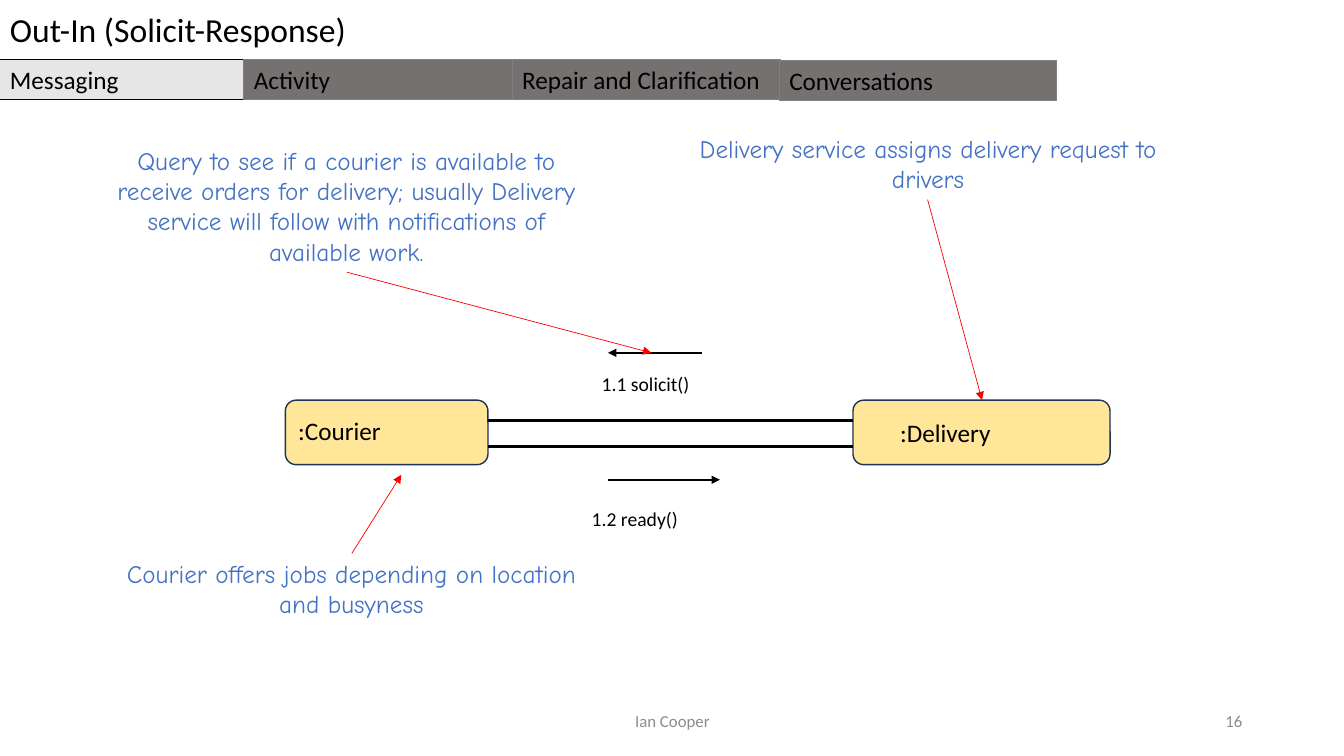
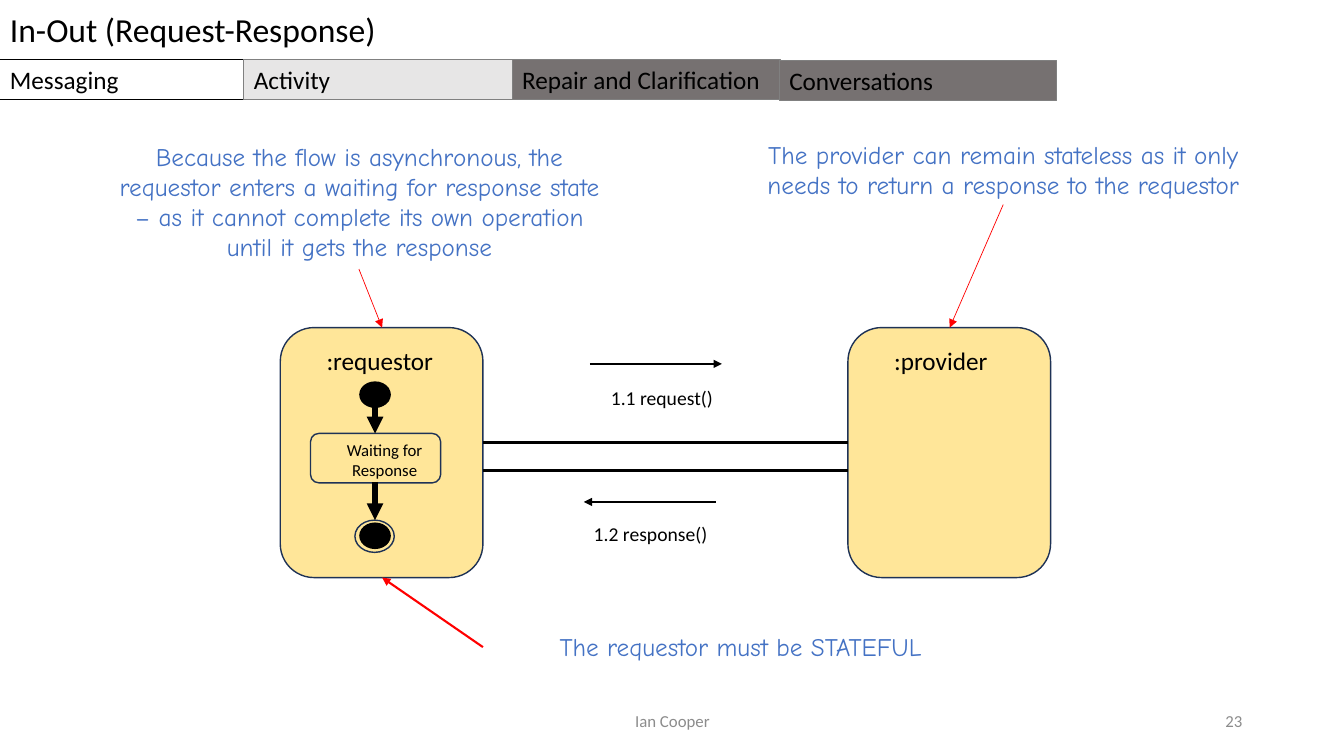
from dataclasses import dataclass

from lxml import etree
from pptx import Presentation
from pptx.dml.color import RGBColor
from pptx.enum.shapes import MSO_CONNECTOR, MSO_SHAPE
from pptx.enum.text import MSO_ANCHOR, PP_ALIGN
from pptx.oxml.ns import qn
from pptx.util import Pt

RECT = MSO_SHAPE.RECTANGLE
ROUND = MSO_SHAPE.ROUNDED_RECTANGLE
OVAL = MSO_SHAPE.OVAL
STRAIGHT = MSO_CONNECTOR.STRAIGHT
LEFT, CENTER, RIGHT = PP_ALIGN.LEFT, PP_ALIGN.CENTER, PP_ALIGN.RIGHT
TOP, MIDDLE = MSO_ANCHOR.TOP, MSO_ANCHOR.MIDDLE

SCALE = 9144
WIDTH, HEIGHT = 1333, 750
TABS = (
    ("Messaging", 0, 59, 243),
    ("Activity", 242, 59, 266),
    ("Repair and Clarification", 508, 59, 266),
    ("Conversations", 773, 60, 275),
)


@dataclass(frozen=True)
class Theme:
    body: str = "Calibri"
    hand: str = "Comic Neue"
    black: str = "000000"
    white: str = "FFFFFF"
    light: str = "E7E6E6"
    dark: str = "767171"
    edge: str = "808080"
    navy: str = "1E3256"
    sand: str = "FFE699"
    blue: str = "4472C4"
    red: str = "FF0000"
    gray: str = "8C8C8C"
    title: int = 24
    text: int = 18
    label: int = 14
    small: int = 12
    hair: float = 0.5
    thin: float = 0.75
    frame: float = 1
    call: float = 1.5
    link: float = 2.5
    flow: float = 4


def emu(*sizes):
    return [size * SCALE for size in sizes]


class Deck:
    def __init__(self, theme):
        self.theme = theme
        self.show = Presentation()
        self.show.slide_width, self.show.slide_height = emu(WIDTH, HEIGHT)
        self.slide = None

    def page(self, title, number, active):
        theme = self.theme
        self.slide = self.show.slides.add_slide(self.show.slide_layouts[6])
        head = self.shape(RECT, (0, -1, WIDTH, 61), theme.white)
        self.label(head, title, theme.title, pad=10)
        for index, (name, left, top, wide) in enumerate(TABS):
            fill = theme.dark
            if index <= active:
                fill = theme.light if index == active else theme.white
            edge = theme.edge if index else theme.black
            tab = self.shape(RECT, (left, top, wide, 40), fill, edge, theme.thin)
            self.label(tab, name, theme.text)
        for box, text, align in (
            ((442, 695, 450, 40), "Ian Cooper", CENTER),
            ((942, 695, 300, 40), number, RIGHT),
        ):
            self.text(box, text, theme.small, theme.gray, align=align, anchor=MIDDLE)

    def label(self, shape, text, size, color=None, font=None,
              align=LEFT, anchor=TOP, pad=5):
        frame = shape.text_frame
        frame.word_wrap = True
        frame.vertical_anchor = anchor
        frame.margin_left, frame.margin_right = emu(10, 10)
        frame.margin_top, frame.margin_bottom = emu(pad, pad)
        para = frame.paragraphs[0]
        para.alignment = align
        run = para.add_run()
        run.text = text
        run.font.size = Pt(size)
        run.font.name = font or self.theme.body
        run.font.color.rgb = RGBColor.from_string(color or self.theme.black)

    def text(self, box, text, size, color=None, **style):
        self.label(self.slide.shapes.add_textbox(*emu(*box)), text, size, color, **style)

    def shape(self, kind, box, fill=None, edge=None, width=1):
        shape = self.slide.shapes.add_shape(kind, *emu(*box))
        shape.shadow.inherit = False
        if fill:
            shape.fill.solid()
            shape.fill.fore_color.rgb = RGBColor.from_string(fill)
        else:
            shape.fill.background()
        if edge:
            shape.line.color.rgb = RGBColor.from_string(edge)
            shape.line.width = Pt(width)
        else:
            shape.line.fill.background()
        return shape

    def line(self, start, end, color, width, arrow=True):
        line = self.slide.shapes.add_connector(STRAIGHT, *emu(*start, *end))
        line.line.color.rgb = RGBColor.from_string(color)
        line.line.width = Pt(width)
        props = line.element.spPr
        if arrow:
            etree.SubElement(props.find(qn("a:ln")), qn("a:tailEnd"), type="triangle")
        etree.SubElement(props, qn("a:effectLst"))

    def node(self, box, name, spot):
        self.shape(ROUND, box, self.theme.sand, self.theme.navy, self.theme.frame)
        self.text(spot, name, self.theme.text)

    def links(self, left, right, tops):
        for top in tops:
            self.line((left, top), (right, top), self.theme.black, self.theme.link, False)

    def call(self, start, end, top, text, box):
        self.line((start, top), (end, top), self.theme.black, self.theme.call)
        self.text(box, text, self.theme.label)

    def note(self, box, text, start, end, width=None):
        theme = self.theme
        self.text(box, text, theme.text, theme.blue, font=theme.hand, align=CENTER)
        self.line(start, end, theme.red, width or theme.hair)

    def states(self, mid, start, wait, stop):
        theme = self.theme
        for top in (start, stop + 3):
            self.shape(OVAL, (mid - 15, top, 30, 25), theme.black, theme.black)
        self.shape(OVAL, (mid - 20, stop, 39, 32), None, theme.navy)
        self.shape(ROUND, (mid - 64, wait, 129, 49), None, theme.navy)
        for top, end in ((start + 25, wait), (wait + 48, stop)):
            self.line((mid, top), (mid, end), theme.black, theme.flow)
        self.text((mid - 52, wait + 1, 123, 50), "Waiting for Response",
                  theme.small, align=CENTER)


def solicit(deck):
    deck.page("Out-In (Solicit-Response)", "16", 0)
    deck.node((283, 397, 201, 64), ":Courier", (286, 407, 174, 40))
    deck.node((846, 397, 255, 64), ":Delivery", (883, 409, 201, 40))
    deck.links(484, 846, (417, 443))
    deck.call(696, 603, 350, "1.1 solicit()", (587, 364, 157, 34))
    deck.call(603, 714, 476, "1.2 ready()", (577, 498, 215, 34))
    deck.note((667, 127, 507, 71),
              "Delivery service assigns delivery request to drivers",
              (920, 198), (974, 397))
    deck.note((95, 549, 507, 71),
              "Courier offers jobs depending on location and busyness",
              (349, 549), (398, 471))
    deck.note((90, 139, 507, 131),
              "Query to see if a courier is available to receive orders for "
              "delivery; usually Delivery service will follow with "
              "notifications of available work.",
              (344, 270), (646, 350))


def request(deck):
    deck.page("In-Out (Request-Response)", "23", 1)
    for left, name in ((278, ":requestor"), (841, ":provider")):
        deck.node((left, 325, 201, 248), name, (left + 36, 338, 129, 40))
    deck.links(479, 841, (439, 467))
    deck.call(585, 716, 361, "1.1 request()", (596, 378, 131, 34))
    deck.call(710, 579, 498, "1.2 response()", (579, 513, 173, 34))
    deck.states(372, 379, 430, 516)
    deck.note((718, 133, 554, 71),
              "The provider can remain stateless as it only needs to return "
              "a response to the requestor",
              (995, 203), (942, 325))
    deck.note((101, 135, 511, 131),
              "Because the flow is asynchronous, the requestor enters a "
              "waiting for response state – as it cannot complete its own "
              "operation until it gets the response",
              (356, 267), (379, 325))
    deck.note((479, 621, 511, 40), "The requestor must be STATEFUL",
              (479, 642), (379, 573), deck.theme.call)


def main():
    deck = Deck(Theme())
    solicit(deck)
    request(deck)
    deck.show.save("out.pptx")


if __name__ == "__main__":
    main()
